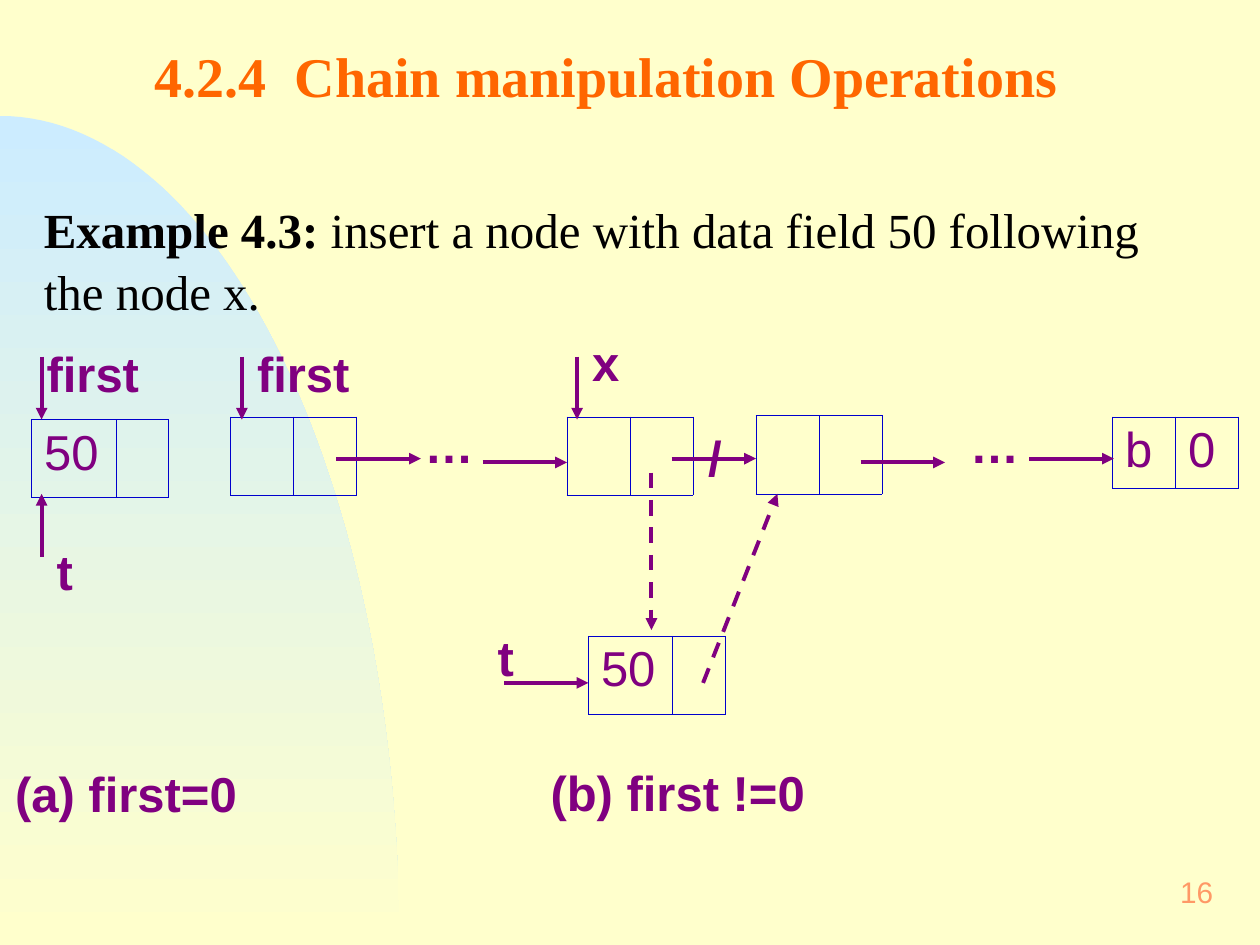
import math
from dataclasses import dataclass

import lxml.etree
import pptx
import pptx.dml.color
import pptx.enum.dml
import pptx.enum.shapes
import pptx.enum.text
import pptx.oxml.ns
import pptx.util

Inches = pptx.util.Inches
Pt = pptx.util.Pt
qn = pptx.oxml.ns.qn
Align = pptx.enum.text.PP_ALIGN
Anchor = pptx.enum.text.MSO_ANCHOR


@dataclass(frozen=True)
class Theme:
    paper: str = "FFFFCC"
    sky: str = "CCECFF"
    title: str = "FF6600"
    number: str = "FF9966"
    body: str = "010000"
    diagram: str = "800080"
    border: str = "0000CC"
    serif: str = "Times New Roman"
    sans: str = "Arial"
    title_size: int = 32
    text_size: int = 28
    number_size: int = 17
    arrow_width: float = 2.25
    border_width: float = 0.45


@dataclass(frozen=True)
class Box:
    left: float
    top: float
    width: float
    height: float

    def inner(self, x, y, width, height):
        return Box(self.left + x, self.top + y, width, height)

    def lengths(self):
        return [Inches(v) for v in (self.left, self.top, self.width, self.height)]


THEME = Theme()


def rgb(code):
    return pptx.dml.color.RGBColor.from_string(code)


def format_span(span, font, size, color, bold=False):
    span.font.name = font
    span.font.size = Pt(size)
    span.font.color.rgb = rgb(color)
    span.font.bold = bold


def set_frame(frame, side, edge, anchor=Anchor.TOP):
    frame.word_wrap = True
    frame.auto_size = pptx.enum.text.MSO_AUTO_SIZE.NONE
    frame.vertical_anchor = anchor
    frame.margin_left = frame.margin_right = Inches(side)
    frame.margin_top = frame.margin_bottom = Inches(edge)


def add_backdrop(page, box):
    steps = 60
    angles = [math.pi / 2 * i / steps for i in range(steps + 1)]
    bottom = box.top + box.height
    curve = [(Inches(box.left + box.width * math.sin(a)),
              Inches(bottom - box.height * math.cos(a))) for a in angles]
    builder = page.shapes.build_freeform(*curve[0])
    builder.add_line_segments(curve[1:] + [(Inches(box.left), Inches(bottom))], close=True)
    shape = builder.convert_to_shape()
    shape.shadow.inherit = False
    shape.line.fill.background()
    shape.fill.gradient()
    shape.fill.gradient_angle = 270
    for stop, color in zip(shape.fill.gradient_stops, (THEME.sky, THEME.paper)):
        stop.color.rgb = rgb(color)


def add_title(page, box):
    title = page.shapes.title
    title.left, title.top, title.width, title.height = box.lengths()
    set_frame(title.text_frame, 0.1, 0.05)
    para = title.text_frame.paragraphs[0]
    para.text = "4.2.4\tChain manipulation Operations"
    para.alignment = Align.LEFT
    tabs = lxml.etree.SubElement(para._p.get_or_add_pPr(), qn("a:tabLst"))
    lxml.etree.SubElement(tabs, qn("a:tab"), pos=str(Inches(1.11)), algn="l")
    format_span(para.runs[0], THEME.serif, THEME.title_size, THEME.title, True)


def add_statement(page, box):
    frame = page.shapes.add_textbox(*box.lengths()).text_frame
    set_frame(frame, 0.1, 0.05)
    para = frame.paragraphs[0]
    para.line_spacing = 1.05
    parts = (("Example 4.3: ", True),
             ("insert a node with data field 50 following the node x.", False))
    for words, bold in parts:
        span = para.add_run()
        span.text = words
        format_span(span, THEME.serif, THEME.text_size, THEME.body, bold)


def add_page_number(page, box):
    frame = page.shapes.add_textbox(*box.lengths()).text_frame
    set_frame(frame, 0.12, 0.06, Anchor.MIDDLE)
    para = frame.paragraphs[0]
    para.text = "16"
    para.alignment = Align.RIGHT
    format_span(para.runs[0], THEME.sans, THEME.number_size, THEME.number)


def add_label(page, box, words, x, y, width=0.67):
    frame = page.shapes.add_textbox(*box.inner(x, y, width, 0.59).lengths()).text_frame
    set_frame(frame, 0.12, 0.06)
    frame.text = words
    format_span(frame.paragraphs[0].runs[0], THEME.sans, THEME.text_size, THEME.diagram, True)


def add_arrow(page, box, x1, y1, x2, y2, dashed=False):
    ends = (box.left + x1, box.top + y1, box.left + x2, box.top + y2)
    arrow = page.shapes.add_connector(
        pptx.enum.shapes.MSO_CONNECTOR.STRAIGHT, *[Inches(v) for v in ends])
    arrow.line.color.rgb = rgb(THEME.diagram)
    arrow.line.width = Pt(THEME.arrow_width)
    if dashed:
        arrow.line.dash_style = pptx.enum.dml.MSO_LINE.DASH
    lxml.etree.SubElement(arrow.line._get_or_add_ln(), qn("a:tailEnd"), type="triangle")
    lxml.etree.SubElement(arrow._element.spPr, qn("a:effectLst"))


def add_node(page, box, x, y, data="", link="", widths=(0.5, 0.5), height=0.62):
    place = box.inner(x, y, sum(widths), height)
    table = page.shapes.add_table(1, 2, *place.lengths()).table
    table.first_row = table.horz_banding = False
    for index, words in enumerate((data, link)):
        table.columns[index].width = Inches(widths[index])
        cell = table.cell(0, index)
        cell.margin_left = cell.margin_right = Inches(0.1)
        cell.margin_top = cell.margin_bottom = Inches(0.05)
        for side in ("lnL", "lnR", "lnT", "lnB"):
            line = lxml.etree.SubElement(cell._tc.get_or_add_tcPr(), qn("a:" + side),
                                         w=str(Pt(THEME.border_width)))
            fill = lxml.etree.SubElement(line, qn("a:solidFill"))
            lxml.etree.SubElement(fill, qn("a:srgbClr"), val=THEME.border)
        cell.fill.background()
        if words:
            cell.text = words
            span = cell.text_frame.paragraphs[0].runs[0]
            format_span(span, THEME.sans, THEME.text_size, THEME.diagram)


def add_empty_case(page, box):
    add_node(page, box, 0.25, 0.75, "50", widths=(0.67, 0.42))
    add_arrow(page, box, 0.33, 0.25, 0.33, 0.75)
    add_arrow(page, box, 0.33, 1.84, 0.33, 1.34)
    add_label(page, box, "first", 0.25, 0.09, 1.08)
    add_label(page, box, "t", 0.33, 1.66)
    add_label(page, box, "(a) first=0", 0, 3.42, 2.25)


def add_chain_case(page, box):
    for x, y in ((0.08, 0.73), (2.75, 0.73), (4.25, 0.72)):
        add_node(page, box, x, y)
    add_node(page, box, 7.08, 0.73, "b", "0", height=0.57)
    add_node(page, box, 2.92, 2.47, "50", widths=(0.67, 0.42))
    for x, y in ((0.92, 1.06), (2.08, 1.09), (3.58, 1.06), (5.08, 1.09),
                 (6.42, 1.06), (2.25, 2.84)):
        add_arrow(page, box, x, y, x + 0.67, y)
    for x in (0.17, 2.83):
        add_arrow(page, box, x, 0.25, x, 0.75)
    add_arrow(page, box, 3.42, 1.17, 3.42, 2.42, dashed=True)
    add_arrow(page, box, 3.83, 2.84, 4.42, 1.34, dashed=True)
    for words, x, y in (("…", 1.5, 0.65), ("…", 5.83, 0.65), ("x", 2.83, 0),
                        ("/", 3.75, 0.75), ("t", 2.08, 2.34)):
        add_label(page, box, words, x, y)
    add_label(page, box, "first", 0.17, 0.09, 1.08)
    add_label(page, box, "(b) first !=0", 2.5, 3.41, 2.58)


def main():
    deck = pptx.Presentation()
    deck.slide_width, deck.slide_height = Inches(10), Inches(7.5)
    page = deck.slides.add_slide(deck.slide_layouts[5])
    page.background.fill.solid()
    page.background.fill.fore_color.rgb = rgb(THEME.paper)
    add_backdrop(page, Box(0, 0.92, 3.17, 6.58))
    add_title(page, Box(1.13, 0.28, 7.81, 0.64))
    add_statement(page, Box(0.25, 1.51, 9.42, 1.04))
    add_empty_case(page, Box(0, 2.58, 1.75, 4))
    add_chain_case(page, Box(1.75, 2.58, 8.25, 4))
    add_page_number(page, Box(7.67, 6.83, 2.08, 0.5))
    deck.save("out.pptx")


if __name__ == "__main__":
    main()
